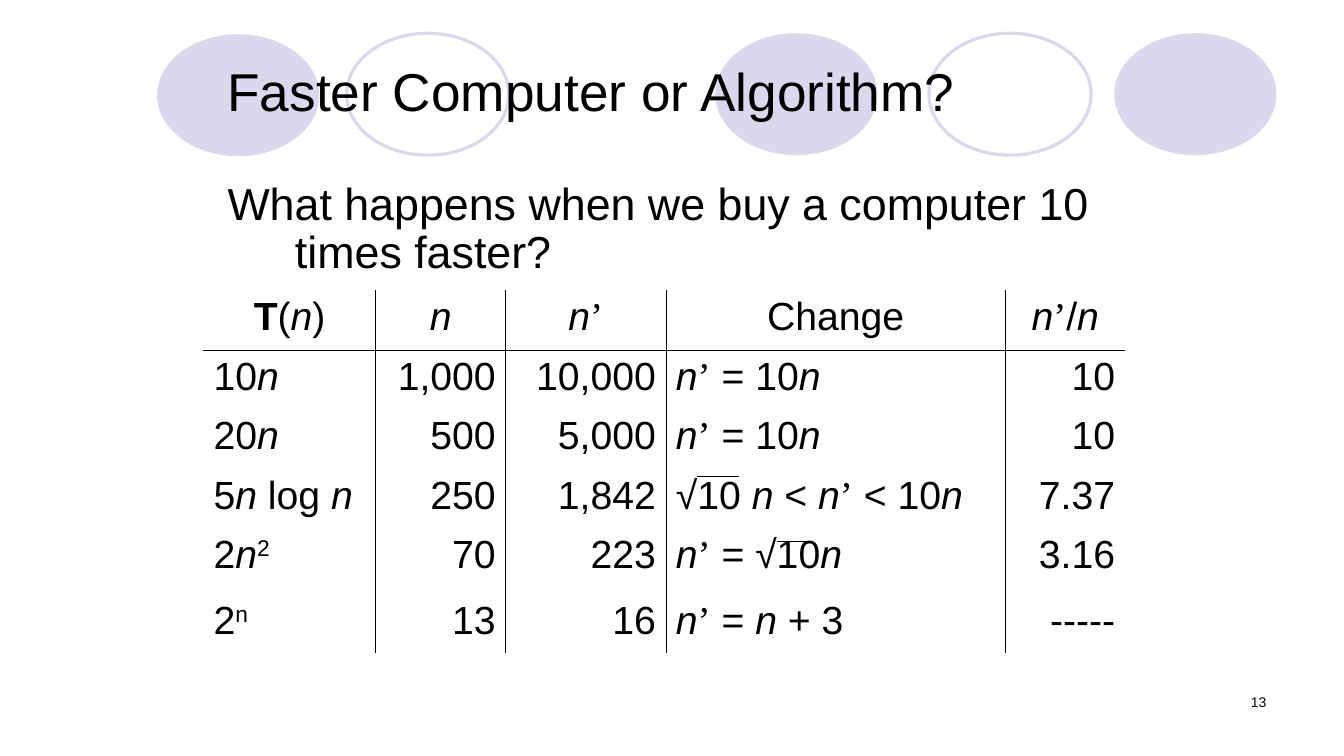
from lxml import etree
from pptx import Presentation
from pptx.dml.color import RGBColor
from pptx.enum.shapes import MSO_CONNECTOR, MSO_SHAPE
from pptx.enum.text import MSO_ANCHOR, PP_ALIGN
from pptx.oxml.ns import qn
from pptx.util import Inches, Pt

WIDTH, HEIGHT = 13.34, 7.5
BLACK, LILAC = "000000", "D9D8EC"
LEFT, CENTER, RIGHT = PP_ALIGN.LEFT, PP_ALIGN.CENTER, PP_ALIGN.RIGHT

# Cell text: "|" parts the runs; a first letter from MARKS sets the run's style
MARKS = "_*^"  # italic, bold, superscript
ROWS = [
    ["*T|(|_n|)", "_n", "_n|’", "Change", "_n|’|/|_n"],
    ["10|_n", "1,000", "10,000", "_n|’| = 10|_n", "10"],
    ["20|_n", "500", "5,000", "_n|’| = 10|_n", "10"],
    ["5|_n| log |_n", "250", "1,842", "√10 |_n| < |_n|’| < 10|_n", "7.37"],
    ["2|_n|^2", "70", "223", "_n|’| = √10|_n", "3.16"],
    ["2|^n", "13", "16", "_n|’| = |_n| + 3", "-----"],
]
COL_WIDTHS = [12.82, 9.67, 11.92, 25.26, 8.92]
ROW_HEIGHTS = [7.87, 7.87, 7.87, 7.87, 8.67, 7.87]
COL_ALIGNS = [LEFT, RIGHT, RIGHT, LEFT, RIGHT]


def across(share):
    """Percent of the slide's width."""
    return Inches(WIDTH * share / 100)


def down(share):
    """Percent of the slide's height."""
    return Inches(HEIGHT * share / 100)


def box(x, y, w, h):
    return across(x), down(y), across(w), down(h)


def color(value):
    return RGBColor.from_string(value)


def write(tf, text, size=28, align=LEFT, before=0, spacing=None, hanging=0):
    p = tf.paragraphs[0]
    p.alignment = align
    p.space_before = Pt(before)
    if spacing:
        p.line_spacing = spacing
    if hanging:
        pPr = p._p.get_or_add_pPr()
        pPr.set("marL", str(across(hanging)))
        pPr.set("indent", str(-across(hanging)))
    for piece in text.split("|"):
        mark = piece[0] if piece[0] in MARKS else ""
        r = p.add_run()
        r.text = piece[len(mark):]
        r.font.size = Pt(size)
        r.font.name = "Times New Roman" if piece == "’" else "Arial"
        r.font.color.rgb = color(BLACK)
        r.font.italic = mark == "_"
        r.font.bold = mark == "*"
        if mark == "^":
            r._r.get_or_add_rPr().set("baseline", "30000")


def add_text(s, place, text, anchor=MSO_ANCHOR.TOP, **style):
    tf = s.shapes.add_textbox(*box(*place)).text_frame
    tf.word_wrap = True
    tf.vertical_anchor = anchor
    write(tf, text, **style)


def add_ellipse(s, x, y, filled):
    sp = s.shapes.add_shape(MSO_SHAPE.OVAL, *box(x, y, 12.07, 16.13))
    sp.shadow.inherit = False
    if filled:
        sp.fill.solid()
        sp.fill.fore_color.rgb = color(LILAC)
        sp.line.fill.background()
    else:
        sp.fill.background()
        sp.line.color.rgb = color(LILAC)
        sp.line.width = Pt(2.25)


def add_bar(s, x1, x2, y):
    line = s.shapes.add_connector(
        MSO_CONNECTOR.STRAIGHT, across(x1), down(y), across(x2), down(y))
    line.line.color.rgb = color(BLACK)
    line.line.width = Pt(0.75)
    etree.SubElement(line._element.spPr, qn("a:effectLst"))


def set_borders(cell, sides):
    """Rule the named sides (L, R, T, B) and clear the others."""
    tcPr = cell._tc.get_or_add_tcPr()
    for side in "LRTB":
        ln = etree.SubElement(tcPr, qn("a:ln" + side), w=str(Pt(0.45)))
        if side in sides:
            fill = etree.SubElement(ln, qn("a:solidFill"))
            etree.SubElement(fill, qn("a:srgbClr"), val=BLACK)
        else:
            etree.SubElement(ln, qn("a:noFill"))


def add_growth_table(s):
    place = box(15.14, 38.4, sum(COL_WIDTHS), sum(ROW_HEIGHTS))
    table = s.shapes.add_table(len(ROWS), len(COL_WIDTHS), *place).table
    table.first_row = table.horz_banding = False
    for column, width in zip(table.columns, COL_WIDTHS):
        column.width = across(width)
    for row, height in zip(table.rows, ROW_HEIGHTS):
        row.height = down(height)

    last = len(COL_WIDTHS) - 1
    for i, texts in enumerate(ROWS):
        for j, text in enumerate(texts):
            cell = table.cell(i, j)
            # Rules between columns and under the heading row
            sides = ("L" if j > 0 else "") + ("R" if j < last else "")
            sides += {0: "B", 1: "T"}.get(i, "")
            set_borders(cell, sides)
            cell.fill.background()
            align = CENTER if i == 0 else COL_ALIGNS[j]
            write(cell.text_frame, text, align=align, before=7)


def main():
    prs = Presentation()
    prs.slide_width, prs.slide_height = Inches(WIDTH), Inches(HEIGHT)
    s = prs.slides.add_slide(prs.slide_layouts[6])

    # Row of ellipses behind the title
    for x, y, filled in [(53.22, 4.4, True), (82.91, 4.4, True), (11.69, 4.53, True),
                         (69.12, 4.4, False), (25.79, 4.4, False)]:
        add_ellipse(s, x, y, filled)

    # Slide number, title and question
    add_text(s, (71.66, 91.07, 23.31, 6.67), "13", size=10, align=RIGHT)
    add_text(s, (16.19, 5.33, 67.47, 13.33), "Faster Computer or Algorithm?",
             anchor=MSO_ANCHOR.MIDDLE, size=38)
    add_text(s, (16.19, 23.33, 67.47, 66.67),
             "What happens when we buy a computer 10 times faster?",
             size=32, before=8, spacing=0.9, hanging=5.02)

    # Table, with the bars over its square roots
    add_growth_table(s)
    add_bar(s, 51.87, 55.02, 63.07)
    add_bar(s, 57.8, 60.27, 71.6)

    prs.save("out.pptx")


if __name__ == "__main__":
    main()
